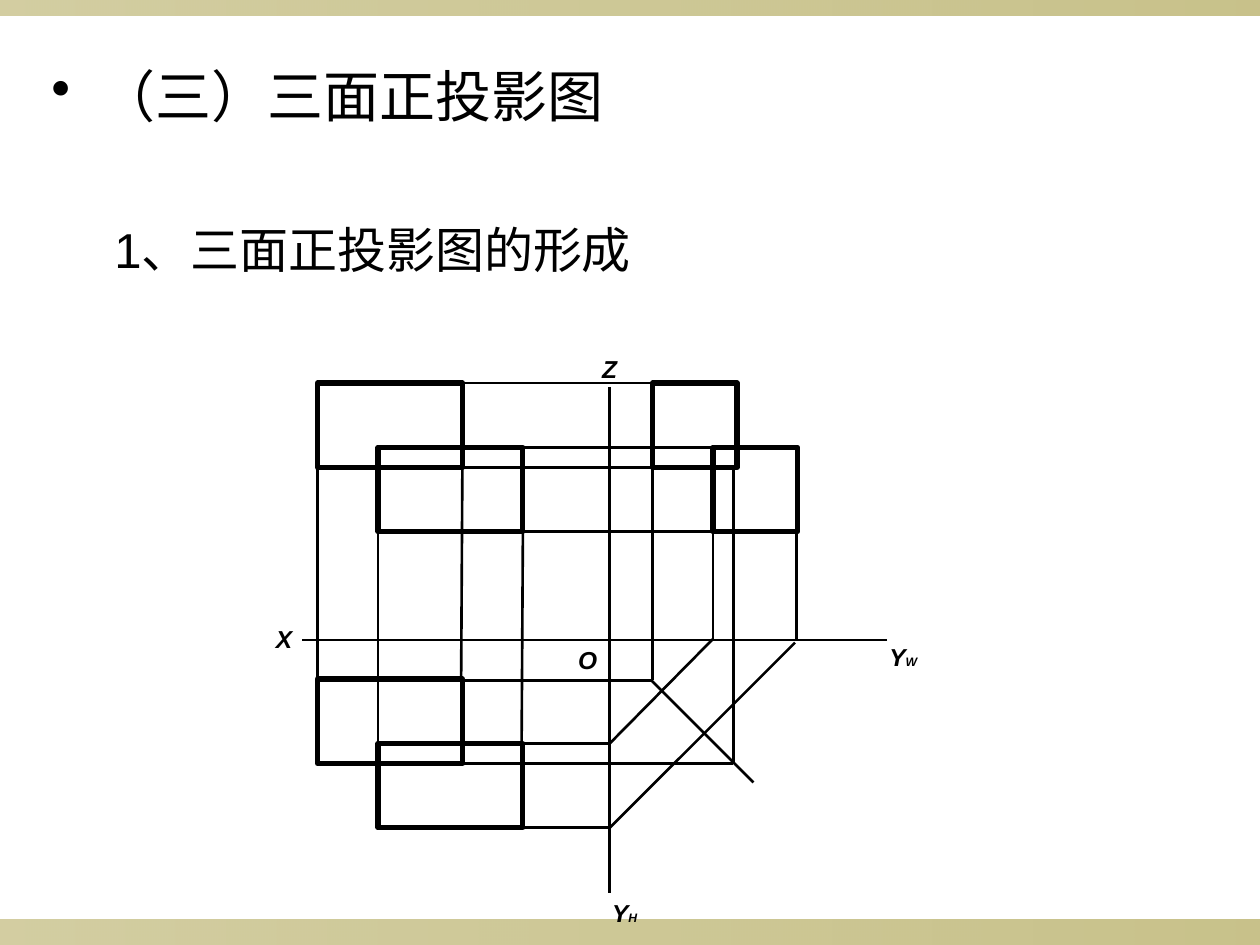
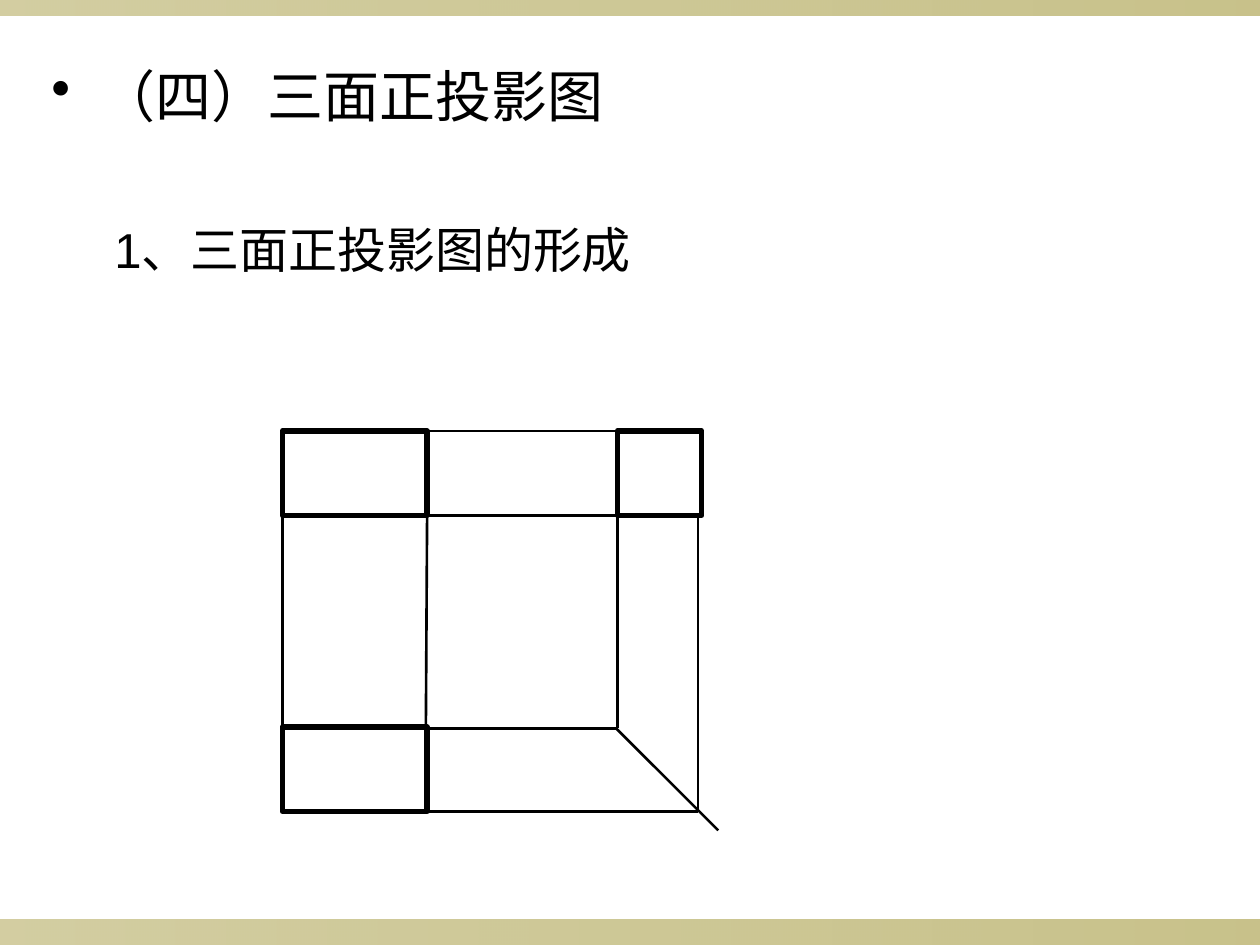
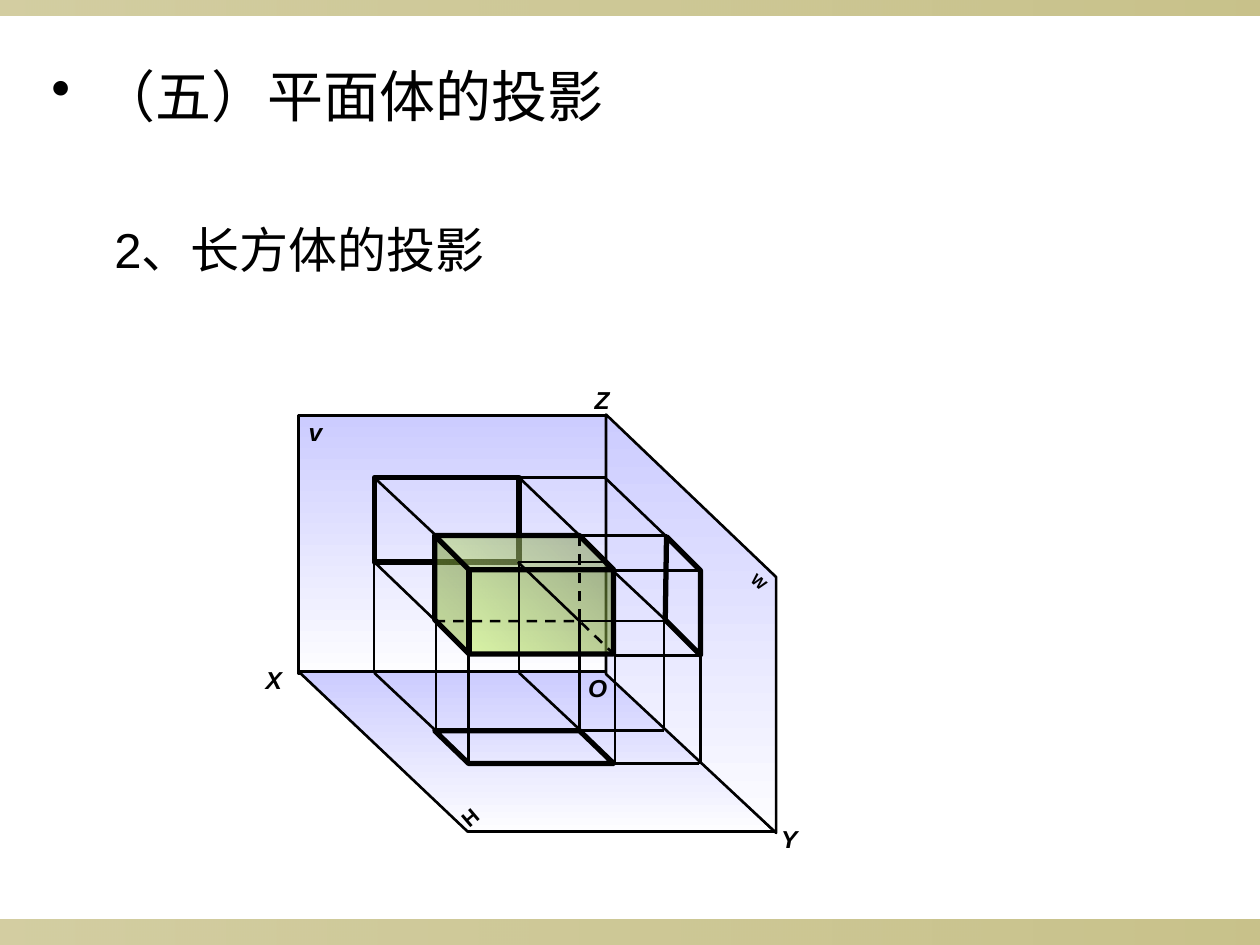
from lxml import etree
from pptx import Presentation
from pptx.dml.color import RGBColor
from pptx.enum.dml import MSO_LINE
from pptx.enum.shapes import MSO_CONNECTOR, MSO_SHAPE
from pptx.oxml.ns import qn
from pptx.util import Cm, Pt

RECTANGLE = MSO_SHAPE.RECTANGLE
PARALLELOGRAM = MSO_SHAPE.PARALLELOGRAM
CUBE = MSO_SHAPE.CUBE
STRAIGHT = MSO_CONNECTOR.STRAIGHT
DASH = MSO_LINE.DASH

COLORS = {
    "ink": "000000",
    "band": "918415",
    "wall_top": "CCCCFF",
    "wall_bottom": "FDFDFF",
    "solid_dark": "5E762F",
    "solid_light": "CCFF66",
}
BAND = {"colors": ("band", "band"), "angle": 0, "opacity": (40, 50)}
WALL = {"colors": ("wall_top", "wall_bottom"), "angle": 90}
SOLID = {"colors": ("solid_dark", "solid_light"), "angle": 45, "opacity": (57, 56)}

THIN, THICK = 1.5, 3
AXIS = {"size": Pt(14), "bold": True, "italic": True}
SUBSCRIPT = {**AXIS, "size": Pt(7)}
PLANE_H = {"size": Pt(12), "bold": True}
PLANE_W = {"size": Pt(9), "bold": True}

VIEW_WIDTH, VIEW_HEIGHT = 1.15, 0.67
SIDE_X, TOP_Y = 2.66, 2.35

SHARED_RAYS = [
    (0, 0.67, 0, 2.34),
    (1.15, 0.67, 1.14, 2.35),
    (1.14, 0.67, 2.67, 0.67),
    (1.15, 0, 2.66, 0),
]
MITER_RAYS = [
    (1.1, 2.36, 2.66, 2.36),
    (1.09, 3.02, 3.3, 3.02),
    (2.66, 2.36, 2.66, 0.66),
    (3.3, 3.02, 3.3, 0.65),
    (2.65, 2.36, 3.46, 3.17),
]
AXIS_RAYS = [
    (4.1, 5.9, 4.84, 5.9),
    (4.1, 6.57, 4.84, 6.57),
    (4.84, 5.9, 5.66, 5.07),
    (4.84, 6.57, 6.31, 5.1),
    (5.66, 5.07, 5.66, 4.21),
    (6.32, 5.07, 6.32, 4.21),
    (4.84, 3.07, 4.84, 7.09),
    (7.04, 5.08, 2.4, 5.08),
]
SOLID_RAYS = [
    (3.72, 5.21, 3.72, 6.07),
    (4.6, 4.93, 4.6, 5.8),
    (4.88, 5.2, 4.88, 6.06),
    (3.46, 4.94, 3.46, 5.81),
    (4.88, 5.2, 5.56, 5.2),
    (3.46, 4.93, 2.98, 4.47),
    (3.46, 4.25, 2.97, 3.79),
    (4.6, 4.25, 4.12, 3.79),
    (4.87, 4.53, 5.55, 4.53),
    (4.6, 4.93, 5.28, 4.93),
    (4.61, 4.25, 5.29, 4.25),
    (4.6, 4.93, 4.11, 4.46),
]
WALL_RAYS = [
    (4.6, 5.79, 4.12, 5.34),
    (4.85, 6.06, 5.55, 6.06),
    (5.56, 6.06, 5.56, 5.2),
    (3.46, 5.8, 2.97, 5.34),
    (2.97, 4.47, 2.97, 5.34),
    (4.12, 4.47, 4.12, 5.33),
    (5.27, 5.79, 5.27, 4.92),
    (4.58, 5.8, 5.27, 5.8),
    (4.11, 4.46, 4.8, 4.46),
    (4.11, 3.79, 4.81, 3.79),
    (5.27, 4.91, 4.79, 4.46),
    (5.28, 4.25, 4.8, 3.79),
]
W_PLANE = [(4.81, 3.29), (6.16, 4.58), (6.16, 6.61), (4.81, 5.35)]
W_VIEW = [(5.29, 4.26), (5.56, 4.53), (5.56, 5.2), (5.28, 4.92)]


def inches(value):
    return Cm(value * 2.54)


def base_outline(y):
    return [(3.45, y), (4.6, y), (4.87, y + 0.26), (3.72, y + 0.26)]


class Deck:
    def __init__(self):
        self.presentation = Presentation()
        self.presentation.slide_width = inches(10)
        self.presentation.slide_height = inches(7.5)
        self.slide = None

    def add_slide(self, title, subtitle):
        layout = self.presentation.slide_layouts[6]
        self.slide = self.presentation.slides.add_slide(layout)
        self.shape((0, 7.3, 10, 0.2), gradient=BAND, width=None)
        self.shape((0, 0, 10, 0.12), gradient=BAND, width=None)
        self.heading(title, subtitle)

    def text_frame(self, box, rotation=0):
        shape = self.slide.shapes.add_textbox(*map(inches, box))
        shape.rotation = rotation
        shape.text_frame.word_wrap = True
        return shape.text_frame

    def run(self, paragraph, text, style):
        run = paragraph.add_run()
        run.text = text
        run.font.name = "Arial"
        run.font.color.rgb = RGBColor.from_string(COLORS["ink"])
        for name, value in style.items():
            setattr(run.font, name, value)

    def indent(self, paragraph, margin, first_line):
        properties = paragraph._p.get_or_add_pPr()
        properties.set("marL", str(inches(margin)))
        properties.set("indent", str(inches(first_line)))
        return properties

    def heading(self, title, subtitle):
        frame = self.text_frame((0.31, 0.44, 9, 1.97))
        paragraph = frame.paragraphs[0]
        properties = self.indent(paragraph, 0.38, -0.38)
        etree.SubElement(properties, qn("a:buChar")).set("char", "•")
        self.run(paragraph, title, {"size": Pt(32)})
        paragraph = frame.add_paragraph()
        self.indent(paragraph, 0.81, -0.31)
        paragraph.space_before = Pt(52)
        self.run(paragraph, subtitle, {"size": Pt(28)})

    def label(self, text, x, y, style=AXIS, subscript="", rotation=0, width=0.39, height=0.34):
        frame = self.text_frame((x, y, width, height), rotation)
        paragraph = frame.paragraphs[0]
        self.run(paragraph, text, style)
        if subscript:
            self.run(paragraph, subscript, SUBSCRIPT)

    def outline(self, line, width, dash=None):
        if width is None:
            line.fill.background()
            return
        line.color.rgb = RGBColor.from_string(COLORS["ink"])
        line.width = Pt(width)
        if dash:
            line.dash_style = dash

    def paint(self, shape, gradient, width, dash=None):
        shape.shadow.inherit = False
        if gradient:
            shape.fill.gradient()
            shape.fill.gradient_angle = -gradient["angle"] % 360
            for stop, color in zip(shape.fill.gradient_stops, gradient["colors"]):
                stop.color.rgb = RGBColor.from_string(COLORS[color])
            colors = list(shape.element.spPr.iter(qn("a:srgbClr")))
            for color, opacity in zip(colors, gradient.get("opacity", ())):
                etree.SubElement(color, qn("a:alpha")).set("val", str(opacity * 1000))
        else:
            shape.fill.background()
        self.outline(shape.line, width, dash)

    def shape(self, box, kind=RECTANGLE, gradient=None, width=THICK, adjustment=None, flip=False):
        shape = self.slide.shapes.add_shape(kind, *map(inches, box))
        if adjustment is not None:
            shape.adjustments[0] = adjustment
        if flip:
            shape.element.spPr.xfrm.set("flipH", "1")
        self.paint(shape, gradient, width)

    def polygon(self, points, gradient=None, width=THICK, dash=None):
        corners = [(inches(x), inches(y)) for x, y in points]
        builder = self.slide.shapes.build_freeform(*corners[0], scale=1.0)
        builder.add_line_segments(corners[1:], close=True)
        self.paint(builder.convert_to_shape(), gradient, width, dash)

    def lines(self, segments, x=0, y=0, dash=None):
        for x1, y1, x2, y2 in segments:
            ends = map(inches, (x + x1, y + y1, x + x2, y + y2))
            connector = self.slide.shapes.add_connector(STRAIGHT, *ends)
            self.outline(connector.line, THIN, dash)
            etree.SubElement(connector.element.spPr, qn("a:effectLst"))

    def three_views(self, x, y, miter=True):
        self.shape((x, y + TOP_Y, VIEW_WIDTH, VIEW_HEIGHT))
        self.shape((x + SIDE_X, y, VIEW_HEIGHT, VIEW_HEIGHT))
        self.shape((x, y, VIEW_WIDTH, VIEW_HEIGHT))
        self.lines(SHARED_RAYS + (MITER_RAYS if miter else []), x, y)


def axes_slide(deck):
    deck.add_slide("（三）三面正投影图", "1、三面正投影图的形成")
    deck.three_views(3, 3.55, miter=False)
    deck.lines(AXIS_RAYS)
    deck.label("Z", 4.68, 2.76)
    deck.label("X", 2.09, 4.9)
    deck.label("O", 4.49, 5.07)
    deck.label("Y", 6.96, 5.05, subscript="W", width=0.47)
    deck.label("Y", 4.76, 7.08, subscript="H", width=0.47)
    deck.three_views(2.52, 3.04)


def views_slide(deck):
    deck.add_slide("（四）三面正投影图", "1、三面正投影图的形成")
    deck.three_views(2.24, 3.42)


def cuboid_slide(deck):
    deck.add_slide("（五）平面体的投影", "2、长方体的投影")
    deck.shape((2.37, 3.3, 2.44, 2.05), gradient=WALL, width=THIN)
    deck.shape((2.37, 5.33, 3.78, 1.27), PARALLELOGRAM, WALL, THIN, 1.056, flip=True)
    deck.polygon(W_PLANE, WALL, THIN)
    deck.label("v", 2.35, 3.26, width=0.31)
    deck.label("H", 3.57, 6.34, PLANE_H, rotation=319.5, width=0.31, height=0.3)
    deck.label("W", 5.86, 4.52, PLANE_W, rotation=41.3, height=0.25)
    deck.label("X", 2.01, 5.23)
    deck.label("Z", 4.62, 3.01)
    deck.label("Y", 6.1, 6.49)
    deck.label("O", 4.57, 5.29)
    deck.polygon(base_outline(5.8))
    deck.shape((2.97, 3.79, VIEW_WIDTH, VIEW_HEIGHT))
    deck.polygon(W_VIEW)
    deck.shape((3.45, 4.25, 1.42, 0.94), CUBE, SOLID, THICK, 0.289, flip=True)
    deck.polygon(base_outline(4.93), width=THIN, dash=DASH)
    deck.lines([(4.6, 4.92, 4.6, 4.25)], dash=DASH)
    deck.lines(SOLID_RAYS + WALL_RAYS)


def main():
    deck = Deck()
    axes_slide(deck)
    views_slide(deck)
    cuboid_slide(deck)
    deck.presentation.save("out.pptx")


if __name__ == "__main__":
    main()
